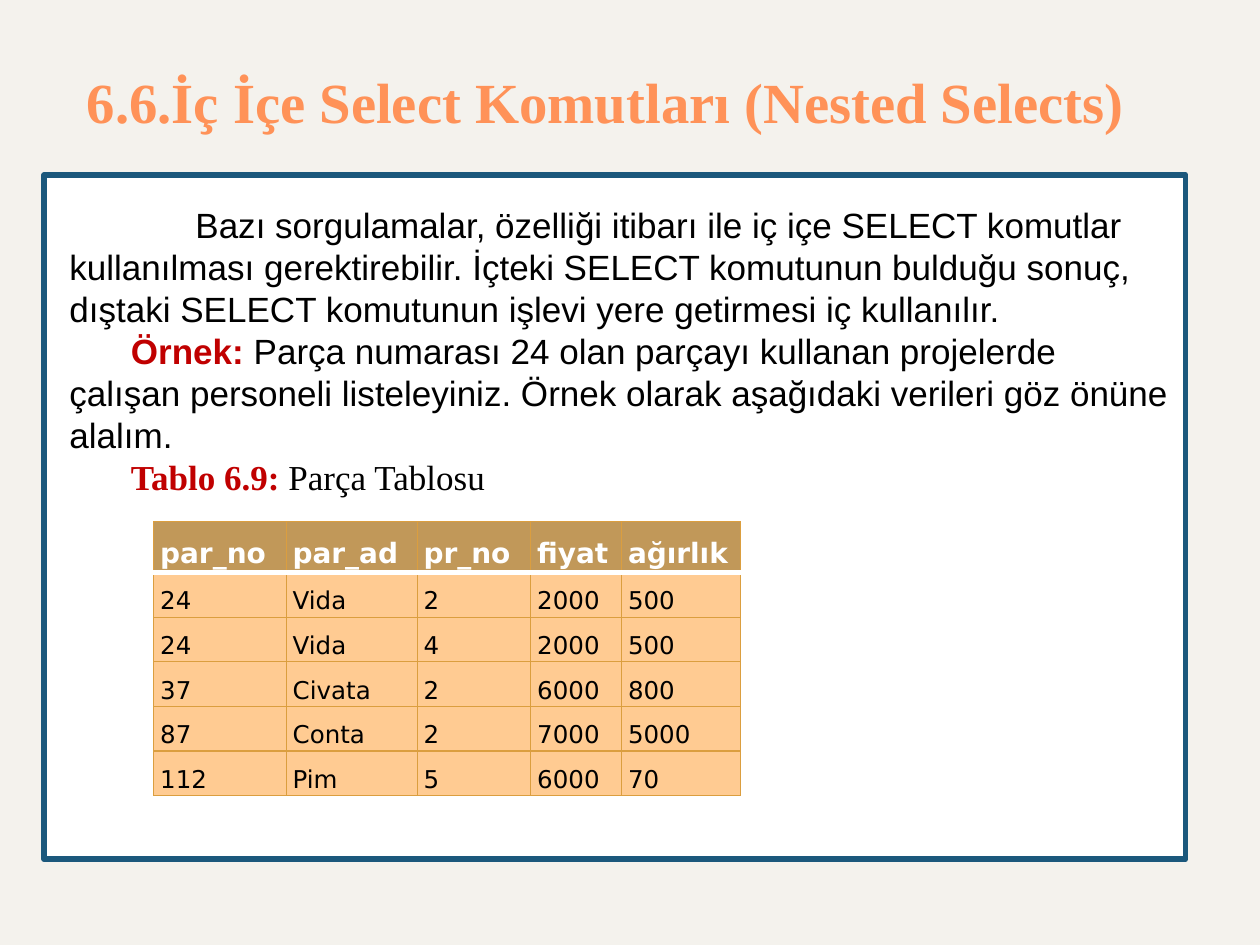
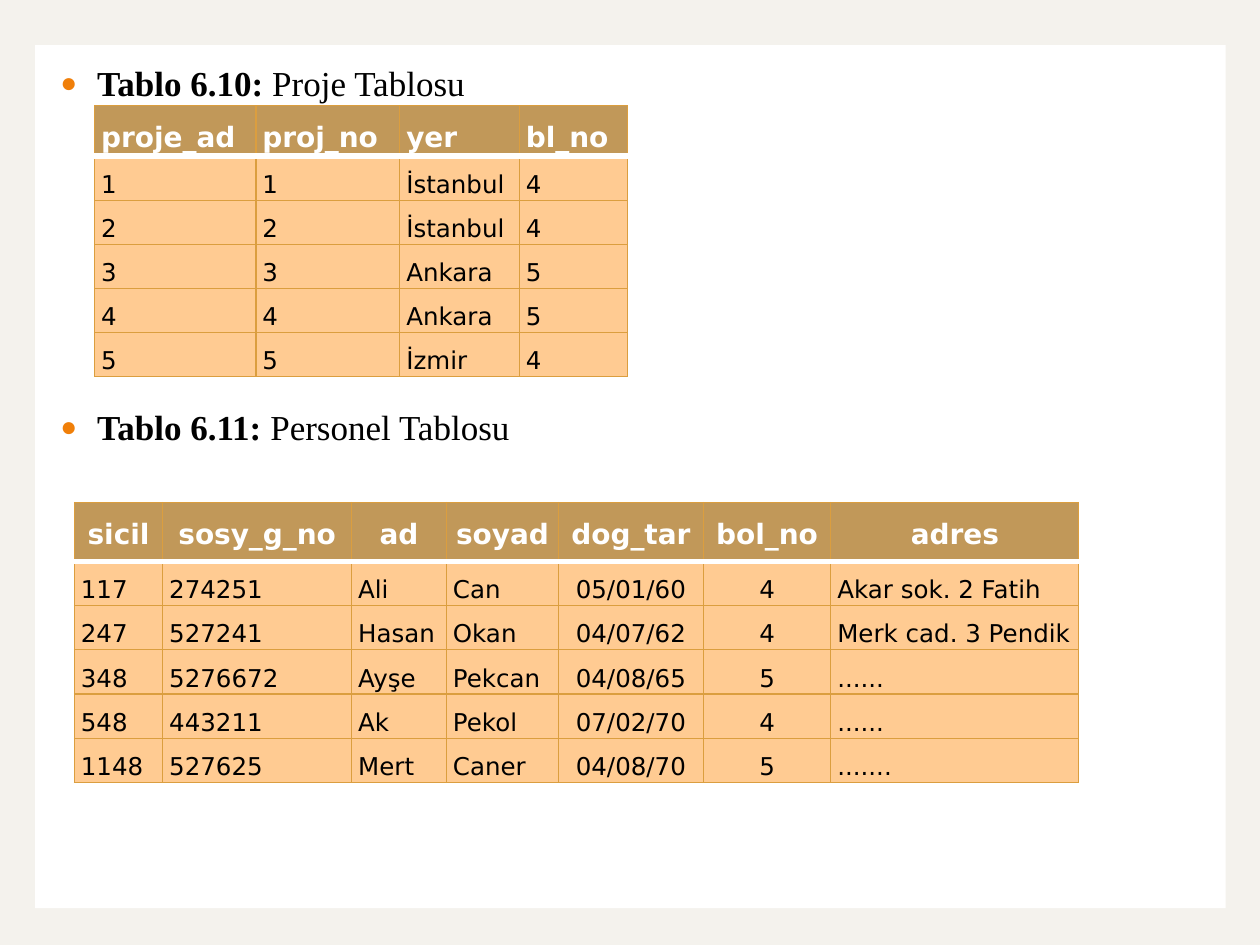
from dataclasses import dataclass

from lxml import etree
from pptx import Presentation
from pptx.dml.color import RGBColor
from pptx.enum import shapes, text
from pptx.oxml import ns
from pptx.util import Cm, Pt

BACKDROP = RGBColor(0xF4, 0xF2, 0xED)
WHITE = RGBColor(0xFF, 0xFF, 0xFF)
BLACK = RGBColor(0x00, 0x00, 0x00)
TITLE_ORANGE = RGBColor(0xFF, 0x92, 0x58)
FRAME_BLUE = RGBColor(0x1B, 0x58, 0x7C)
LABEL_RED = RGBColor(0xC0, 0x00, 0x00)
BULLET_ORANGE = RGBColor(0xF0, 0x7F, 0x09)
HEADER_BROWN = RGBColor(0xC1, 0x98, 0x59)
CELL_PEACH = RGBColor(0xFF, 0xCB, 0x92)
GRID_GOLD = RGBColor(0xDB, 0x9E, 0x3F)

SERIF = "Times New Roman"
SANS = "Arial"
TABLE_FONT = "DejaVu Sans"


@dataclass
class Box:
    left: float
    top: float
    width: float
    height: float

    def lengths(self):
        return Cm(self.left), Cm(self.top), Cm(self.width), Cm(self.height)


TITLE_BOX = Box(1.5, 0.91, 22.73, 1.93)
FRAMED_BOX = Box(0.89, 3.53, 23.01, 13.79)
PLAIN_BOX = Box(0.71, 0.91, 24, 17.4)

PARTS = [
    ["par_no", "par_ad", "pr_no", "fiyat", "ağırlık"],
    ["24", "Vida", "2", "2000", "500"],
    ["24", "Vida", "4", "2000", "500"],
    ["37", "Civata", "2", "6000", "800"],
    ["87", "Conta", "2", "7000", "5000"],
    ["112", "Pim", "5", "6000", "70"],
]
PROJECTS = [
    ["proje_ad", "proj_no", "yer", "bl_no"],
    ["1", "1", "İstanbul", "4"],
    ["2", "2", "İstanbul", "4"],
    ["3", "3", "Ankara", "5"],
    ["4", "4", "Ankara", "5"],
    ["5", "5", "İzmir", "4"],
]
STAFF = [
    ["sicil", "sosy_g_no", "ad", "soyad", "dog_tar", "bol_no", "adres"],
    ["117", "274251", "Ali", "Can", "05/01/60", "4", "Akar sok. 2 Fatih"],
    ["247", "527241", "Hasan", "Okan", "04/07/62", "4", "Merk cad. 3 Pendik"],
    ["348", "5276672", "Ayşe", "Pekcan", "04/08/65", "5", "......"],
    ["548", "443211", "Ak", "Pekol", "07/02/70", "4", "......"],
    ["1148", "527625", "Mert", "Caner", "04/08/70", "5", "......."],
]


def add_page(deck):
    page = deck.slides.add_slide(deck.slide_layouts[6])
    page.background.fill.solid()
    page.background.fill.fore_color.rgb = BACKDROP
    return page


def style_font(font, name, size, color, bold=False):
    font.name = name
    font.size = Pt(size)
    font.color.rgb = color
    font.bold = bold


def add_span(para, words, name, color=BLACK, bold=False):
    span = para.add_run()
    span.text = words
    style_font(span.font, name, 20, color, bold)


def add_title(page, box, words):
    frame = page.shapes.add_textbox(*box.lengths()).text_frame
    frame.word_wrap = True
    frame.vertical_anchor = text.MSO_ANCHOR.BOTTOM
    frame.text = words
    style_font(frame.paragraphs[0].runs[0].font, SERIF, 32.4, TITLE_ORANGE, True)


def add_panel(page, box, top_inset, line_color=None):
    panel = page.shapes.add_shape(shapes.MSO_SHAPE.RECTANGLE, *box.lengths())
    panel.shadow.inherit = False
    panel.fill.solid()
    panel.fill.fore_color.rgb = WHITE
    if line_color is None:
        panel.line.fill.background()
    else:
        panel.line.color.rgb = line_color
        panel.line.width = Pt(3.35)
        etree.SubElement(panel.line._get_or_add_ln(), ns.qn("a:round"))
    frame = panel.text_frame
    frame.word_wrap = True
    frame.vertical_anchor = text.MSO_ANCHOR.TOP
    frame.margin_left, frame.margin_right = Cm(0.51), Cm(0.25)
    frame.margin_top, frame.margin_bottom = Cm(top_inset), Cm(0.13)
    return frame


def next_para(frame, first):
    para = frame.paragraphs[0] if first else frame.add_paragraph()
    para.alignment = text.PP_ALIGN.LEFT
    return para


def set_indent(para, margin, indent):
    properties = para._p.get_or_add_pPr()
    properties.set("marL", str(Cm(margin)))
    properties.set("indent", str(Cm(indent)))
    return properties


def add_bullet(para):
    properties = set_indent(para, 0.74, -0.74)
    color = etree.SubElement(properties, ns.qn("a:buClr"))
    etree.SubElement(color, ns.qn("a:srgbClr"), val=str(BULLET_ORANGE))
    etree.SubElement(properties, ns.qn("a:buSzPct"), val="80000")
    etree.SubElement(properties, ns.qn("a:buFont"), typeface=SANS)
    etree.SubElement(properties, ns.qn("a:buChar"), char="●")


def set_borders(cell, is_header, is_first_body):
    properties = cell._tc.get_or_add_tcPr()
    white_side = "B" if is_header else "T" if is_first_body else None
    for position, side in enumerate("LRTB"):
        color, width = (WHITE, 3.35) if side == white_side else (GRID_GOLD, 0.75)
        line = etree.Element(ns.qn(f"a:ln{side}"), w=str(Pt(width)))
        fill = etree.SubElement(line, ns.qn("a:solidFill"))
        etree.SubElement(fill, ns.qn("a:srgbClr"), val=str(color))
        properties.insert(position, line)


def fill_cell(cell, words, row, centered):
    is_header = row == 0
    cell.margin_left = cell.margin_right = Cm(0.13)
    cell.margin_top = cell.margin_bottom = 0
    cell.fill.solid()
    cell.fill.fore_color.rgb = HEADER_BROWN if is_header else CELL_PEACH
    set_borders(cell, is_header, row == 1)
    cell.text_frame.text = words
    para = cell.text_frame.paragraphs[0]
    para.line_spacing = 1.5
    para.alignment = text.PP_ALIGN.CENTER if centered else text.PP_ALIGN.LEFT
    size, color = (16, WHITE) if is_header else (14, BLACK)
    style_font(para.runs[0].font, TABLE_FONT, size, color, is_header)


def add_data_table(page, box, left, top, rows, widths, header_height, row_height,
                   center_header=False, centered_columns=()):
    heights = [header_height] + [row_height] * (len(rows) - 1)
    area = Box(box.left + left, box.top + top, sum(widths), sum(heights))
    table = page.shapes.add_table(len(rows), len(widths), *area.lengths()).table
    table.first_row = table.horz_banding = False
    for column, width in zip(table.columns, widths):
        column.width = Cm(width)
    for table_row, height in zip(table.rows, heights):
        table_row.height = Cm(height)
    for row, values in enumerate(rows):
        for column, value in enumerate(values):
            centered = center_header if row == 0 else column in centered_columns
            fill_cell(table.cell(row, column), value, row, centered)


def build_nested_select_page(page, box):
    add_title(page, TITLE_BOX, "6.6.İç İçe Select Komutları (Nested Selects)")
    frame = add_panel(page, box, 0.58, FRAME_BLUE)
    passages = [
        (2.54, SANS, "", "Bazı sorgulamalar, özelliği itibarı ile iç içe SELECT komutlar "
         "kullanılması gerektirebilir. İçteki SELECT komutunun bulduğu sonuç, dıştaki "
         "SELECT komutunun işlevi yere getirmesi iç kullanılır."),
        (1.24, SANS, "Örnek: ", "Parça numarası 24 olan parçayı kullanan projelerde "
         "çalışan personeli listeleyiniz. Örnek olarak aşağıdaki verileri göz önüne alalım."),
        (1.24, SERIF, "Tablo 6.9: ", "Parça Tablosu"),
    ]
    for number, (indent, font, label, words) in enumerate(passages):
        para = next_para(frame, number == 0)
        set_indent(para, 0, indent)
        para.line_spacing = Pt(24)
        if label:
            add_span(para, label, font, LABEL_RED, True)
        add_span(para, words, font)
    add_data_table(page, box, 2.21, 6.99, PARTS, [2.67, 2.64, 2.29, 1.83, 2.39], 1.02, 0.9)


def build_tables_page(page, box):
    frame = add_panel(page, box, 0.34)
    captions = [("Tablo 6.10:", " Proje Tablosu"), ("Tablo 6.11:", " Personel Tablosu")]
    for number, (label, words) in enumerate(captions):
        para = next_para(frame, number == 0)
        add_bullet(para)
        if number:
            para.space_before = Pt(172.5)
        add_span(para, label, SERIF, bold=True)
        add_span(para, words, SERIF)
    add_data_table(page, box, 1.2, 1.22, PROJECTS, [3.25, 2.9, 2.41, 2.18], 0.99, 0.87)
    add_data_table(page, box, 0.79, 9.22, STAFF,
                   [1.78, 3.81, 1.91, 2.26, 2.92, 2.57, 5], 1.19, 0.87,
                   center_header=True, centered_columns=(4, 5))


def main():
    deck = Presentation()
    deck.slide_width, deck.slide_height = Cm(25.4), Cm(19.05)
    build_nested_select_page(add_page(deck), FRAMED_BOX)
    build_tables_page(add_page(deck), PLAIN_BOX)
    deck.save("out.pptx")


if __name__ == "__main__":
    main()
